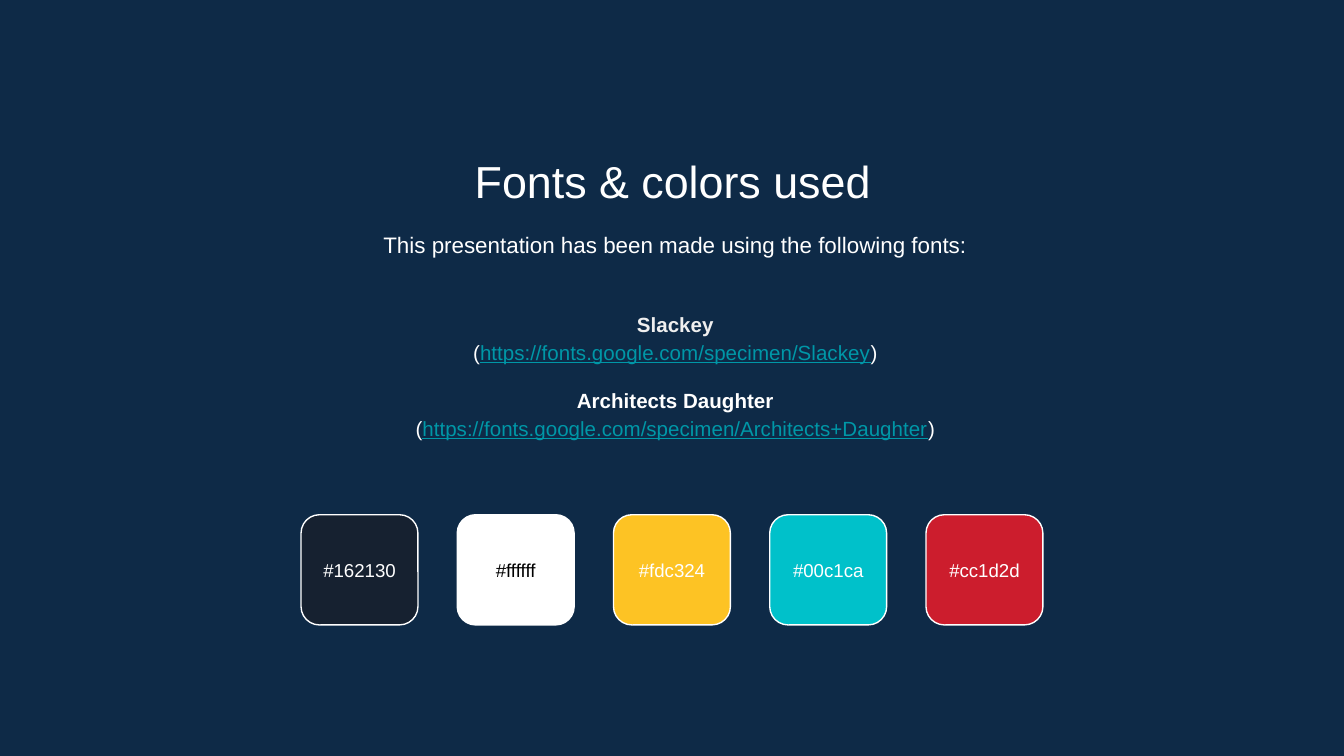
from lxml.etree import SubElement
from pptx import Presentation
from pptx.dml.color import RGBColor
from pptx.enum.shapes import MSO_SHAPE as Shape
from pptx.enum.text import MSO_ANCHOR as Anchor, MSO_AUTO_SIZE as AutoSize, PP_ALIGN as Align
from pptx.oxml.ns import qn
from pptx.util import Inches, Pt

NAVY = RGBColor(0x0E, 0x2A, 0x47)
WHITE = RGBColor(0xFF, 0xFF, 0xFF)
BLACK = RGBColor(0x00, 0x00, 0x00)
PALE = RGBColor(0xEF, 0xEF, 0xEF)
LINK = RGBColor(0x00, 0x97, 0xA7)

FONTS = [
    ("Slackey", PALE, "https://fonts.google.com/specimen/Slackey"),
    ("Architects Daughter", WHITE, "https://fonts.google.com/specimen/Architects+Daughter"),
]
SWATCHES = [
    ("#162130", WHITE),
    ("#ffffff", BLACK),
    ("#fdc324", WHITE),
    ("#00c1ca", WHITE),
    ("#cc1d2d", WHITE),
]
FIRST_LEFT, LAST_LEFT = 2.24, 6.89


def style_span(span, size, color, bold=False, underline=False):
    span.font.name = "Arial"
    span.font.size = Pt(size)
    span.font.color.rgb = color
    span.font.bold = bold
    span.font.underline = underline


def add_span(para, text, color, **style):
    span = para.add_run()
    span.text = text
    style_span(span, 11, color, **style)


def place(box, left, top, width, height, anchor=Anchor.TOP):
    box.left, box.top = Inches(left), Inches(top)
    box.width, box.height = Inches(width), Inches(height)
    frame = box.text_frame
    frame.auto_size = AutoSize.NONE
    frame.word_wrap = True
    frame.vertical_anchor = anchor
    frame.margin_left = frame.margin_right = Inches(0.1)
    frame.margin_top = frame.margin_bottom = Inches(0.1)
    return frame


def format_body(para, space_before=0):
    properties = para._p.get_or_add_pPr()
    properties.set("marL", "0")
    properties.set("indent", "0")
    SubElement(properties, qn("a:buNone"))
    para.alignment = Align.CENTER
    para.line_spacing = 1.15
    para.space_before = Pt(space_before)


def fill_title(box):
    frame = place(box, 1.15, 1.04, 7.71, 0.53)
    frame.text = "Fonts & colors used"
    para = frame.paragraphs[0]
    para.alignment = Align.CENTER
    style_span(para.runs[0], 24, WHITE)


def fill_intro(box):
    frame = place(box, 1.17, 1.59, 7.71, 0.48)
    frame.text = "This presentation has been made using the following fonts:"
    para = frame.paragraphs[0]
    format_body(para)
    style_span(para.runs[0], 12, WHITE)


def fill_fonts(box):
    frame = place(box, 1.17, 2.1, 7.71, 1.37, Anchor.MIDDLE)
    for index, (name, color, address) in enumerate(FONTS):
        heading = frame.add_paragraph() if index else frame.paragraphs[0]
        format_body(heading, 10.5 if index else 0)
        add_span(heading, name, color, bold=True)
        para = frame.add_paragraph()
        format_body(para)
        add_span(para, "(", WHITE)
        add_span(para, address, LINK, underline=True)
        add_span(para, ")", WHITE)


def add_swatch(page, left, code, text_color):
    swatch = page.shapes.add_shape(
        Shape.ROUNDED_RECTANGLE, Inches(left), Inches(3.83), Inches(0.87), Inches(0.82))
    swatch.shadow.inherit = False
    swatch.fill.solid()
    swatch.fill.fore_color.rgb = RGBColor.from_string(code[1:].upper())
    swatch.line.color.rgb = WHITE
    swatch.line.width = Pt(0.75)
    frame = swatch.text_frame
    frame.margin_left = frame.margin_right = 0
    frame.vertical_anchor = Anchor.MIDDLE
    frame.text = code
    para = frame.paragraphs[0]
    para.alignment = Align.CENTER
    style_span(para.runs[0], 10, text_color)


def main():
    deck = Presentation()
    deck.slide_width = Inches(10)
    deck.slide_height = deck.slide_width * 9 // 16
    page = deck.slides.add_slide(deck.slide_layouts.get_by_name("Two Content"))
    page.background.fill.solid()
    page.background.fill.fore_color.rgb = NAVY
    title, intro, fonts = page.placeholders
    fill_title(title)
    fill_intro(intro)
    fill_fonts(fonts)
    pitch = (LAST_LEFT - FIRST_LEFT) / (len(SWATCHES) - 1)
    for index, (code, text_color) in enumerate(SWATCHES):
        add_swatch(page, FIRST_LEFT + index * pitch, code, text_color)
    deck.save("out.pptx")


if __name__ == "__main__":
    main()
